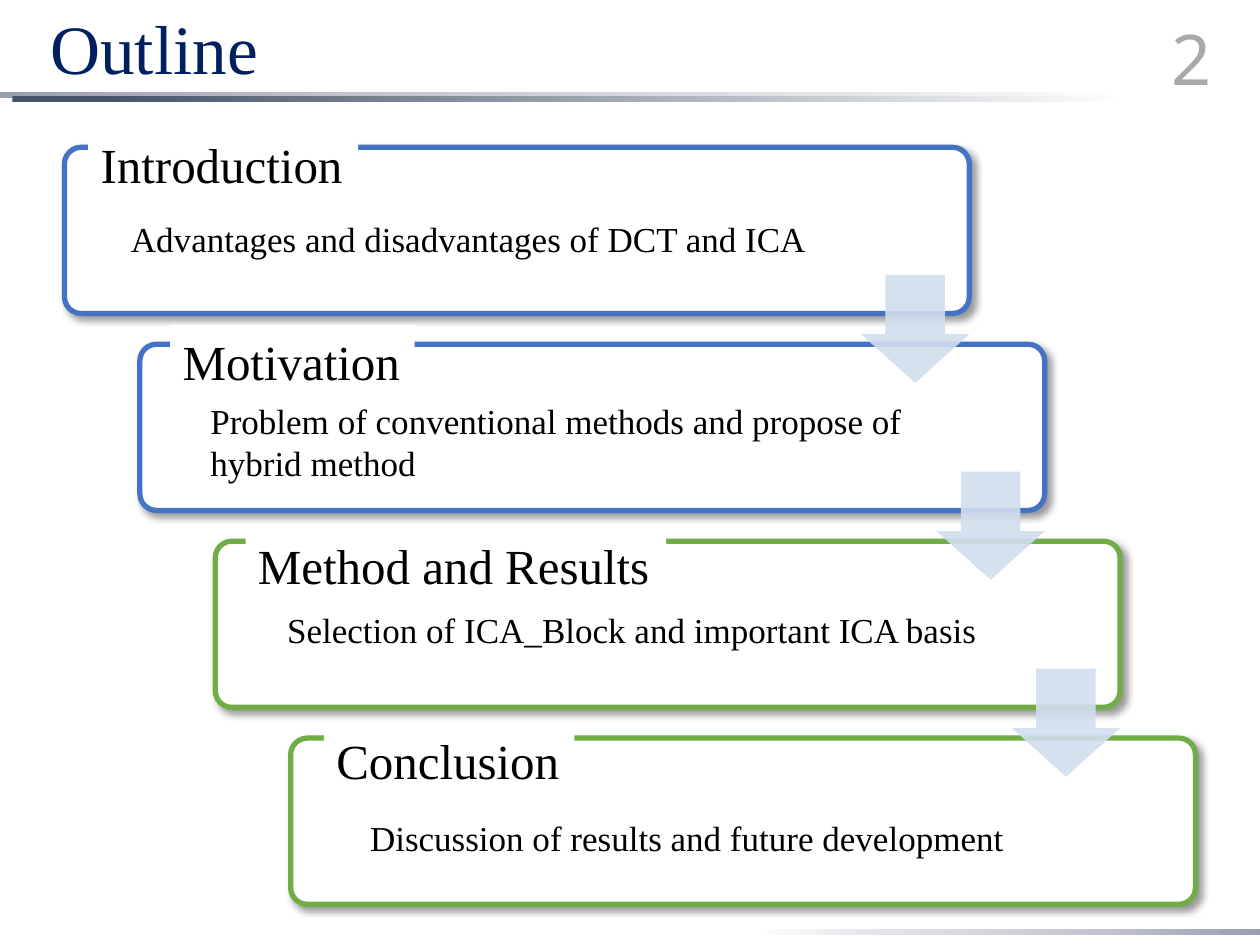
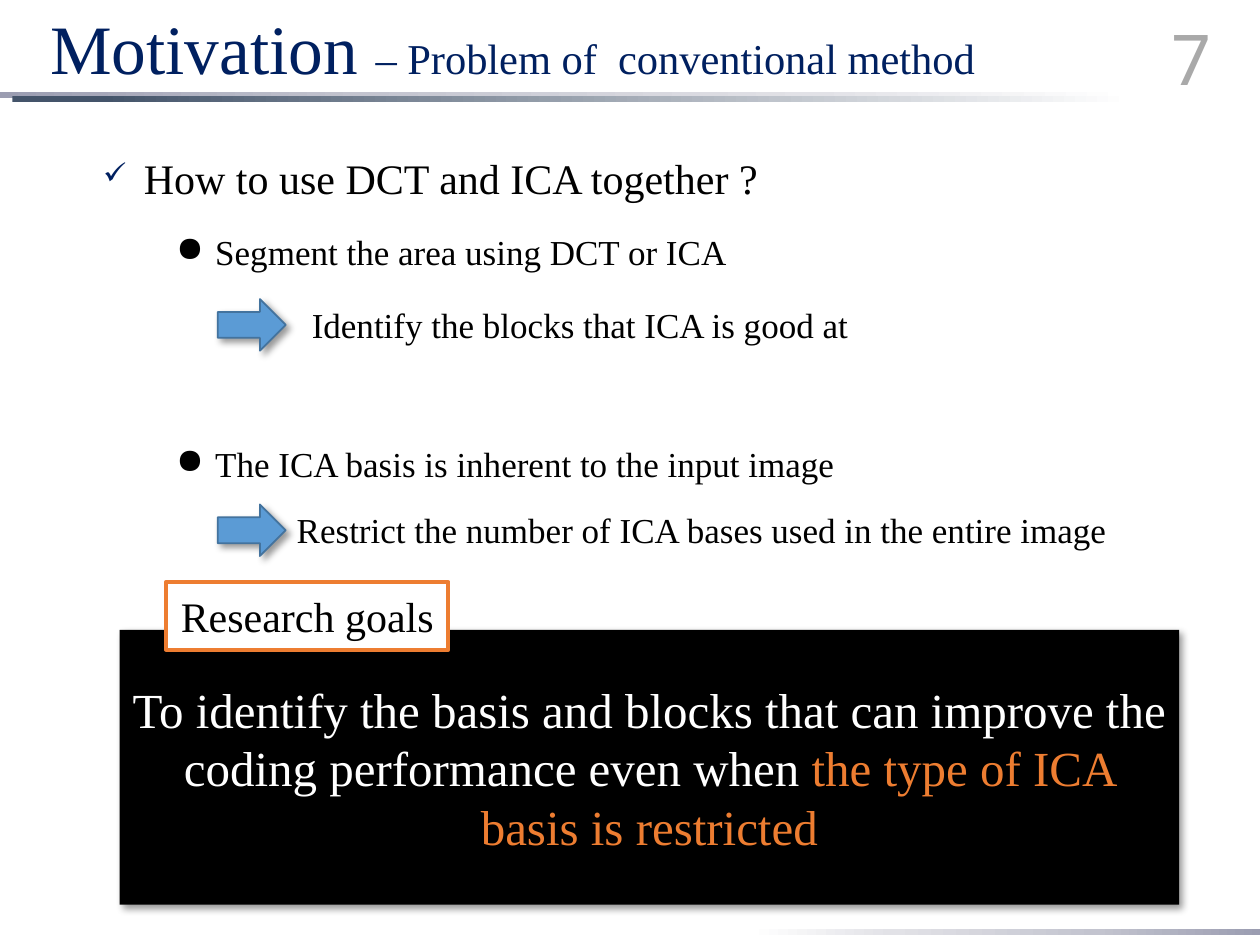
from lxml.etree import SubElement
from pptx import Presentation
from pptx.dml.color import RGBColor
from pptx.enum.shapes import MSO_SHAPE as Shape
from pptx.enum.text import MSO_ANCHOR as Anchor, MSO_AUTO_SIZE as AutoSize, PP_ALIGN as Align
from pptx.oxml.ns import qn
from pptx.util import Cm, Pt

NAVY = RGBColor(0x00, 0x20, 0x60)
SLATE = RGBColor(0x44, 0x54, 0x6A)
LAVENDER = RGBColor(0x9B, 0x9D, 0xB1)
LAVENDER_MID = RGBColor(0xC3, 0xC4, 0xCF)
LAVENDER_PALE = RGBColor(0xE2, 0xE2, 0xE7)
GREY = RGBColor(0xA9, 0xA9, 0xA9)
BLACK = RGBColor(0x00, 0x00, 0x00)
WHITE = RGBColor(0xFF, 0xFF, 0xFF)
BLUE = RGBColor(0x44, 0x72, 0xC4)
GREEN = RGBColor(0x70, 0xAD, 0x47)
PALE_BLUE = RGBColor(0xD2, 0xDE, 0xEF)
SKY = RGBColor(0x5B, 0x9B, 0xD5)
SKY_DARK = RGBColor(0x43, 0x73, 0x9E)
ORANGE = RGBColor(0xED, 0x7D, 0x31)

SERIF, SANS = "Times New Roman", "Noto Sans"

# Boxes are (left, top, width, height) in centimetres.
FADE = [(0, LAVENDER), (32, LAVENDER_MID), (72, LAVENDER_PALE), (100, WHITE)]
BANDS = [
    ((15.11, 18.72, 10.29, 0.13), [(100 - at, color) for at, color in reversed(FADE)]),
    ((0, 1.85, 22.76, 0.13), FADE),
    ((0.25, 1.93, 22.53, 0.13), [(8, SLATE), (100, WHITE)]),
]

# Border colour, heading and its box, detail and its box
OUTLINE = [
    (BLUE, "Introduction", (1.78, 2.59, 5.44, 1.45),
     "Advantages and disadvantages of DCT and ICA", (2.39, 4.27, 16.28, 1.12)),
    (BLUE, "Motivation", (3.43, 6.55, 4.93, 1.45),
     "Problem of conventional methods and propose of hybrid method", (3.99, 7.92, 15.54, 1.96)),
    (GREEN, "Method and Results", (4.95, 10.67, 8.48, 1.45),
     "Selection of ICA_Block and important ICA basis", (5.54, 12.14, 15.93, 1.12)),
    (GREEN, "Conclusion", (6.53, 14.61, 5.05, 1.45),
     "Discussion of results and future development", (7.21, 16.33, 17.12, 1.12)),
]
CARD_LEFT, CARD_TOP, CARD_WIDTH, CARD_HEIGHT = 1.3, 2.97, 18.24, 3.35
STEP_RIGHT, STEP_DOWN = 1.52, 3.97
STEP_ARROW_SIZE, STEP_ARROW_DROP = 2.18, 2.57

QUESTION = "How to use DCT and ICA together ?"
POINTS = ["Segment the area using DCT or ICA", "The ICA basis is inherent to the input image"]
ANSWERS = [
    ("Identify the blocks that ICA is good at", (5.08, 5.99, 13.23, 1.12)),
    ("Restrict the number of ICA bases used in the entire image", (5.08, 10.13, 18.14, 1.12)),
]
GOAL = [
    ("To identify the basis and blocks that can improve the coding performance even when ",
     28, WHITE),
    ("the type of ICA basis is restricted", 28, ORANGE),
]


def add_xml(parent, tag, **attributes):
    values = {name: str(value) for name, value in attributes.items()}
    return SubElement(parent, qn(tag), values)


def add_runs(paragraph, runs, font=SERIF):
    """Append (text, size, colour) runs to a paragraph."""
    for text, size, color in runs:
        run = paragraph.add_run()
        run.text = text
        run.font.name, run.font.size = font, Pt(size)
        run.font.color.rgb = color


def add_text(slide, box, runs, align=Align.LEFT, anchor=Anchor.TOP, font=SERIF):
    shape = slide.shapes.add_textbox(*map(Cm, box))
    frame = shape.text_frame
    frame.word_wrap, frame.vertical_anchor = True, anchor
    frame.paragraphs[0].alignment = align
    add_runs(frame.paragraphs[0], runs, font)
    return shape


def add_figure(slide, kind, box, fill, line=None, line_width=1, shadow=False):
    shape = slide.shapes.add_shape(kind, *map(Cm, box))
    shape.shadow.inherit = False
    shape.fill.solid()
    shape.fill.fore_color.rgb = fill
    if line is None:
        shape.line.fill.background()
    else:
        shape.line.color.rgb = line
        shape.line.width = Pt(line_width)
    if shadow:
        effects = shape.element.spPr.find(qn("a:effectLst"))
        outer = add_xml(effects, "a:outerShdw", blurRad=Pt(4), dist=Pt(3), dir=45 * 60000,
                        algn="tl", rotWithShape=0)
        add_xml(add_xml(outer, "a:srgbClr", val=BLACK), "a:alpha", val=40000)
    return shape


def add_band(slide, box, stops):
    band = add_figure(slide, Shape.RECTANGLE, box, WHITE)
    band.fill.gradient()
    band.fill.gradient_angle = 0
    stop_list = next(band.element.spPr.iter(qn("a:gsLst")))
    stop_list.clear()
    for position, color in stops:
        stop = add_xml(stop_list, "a:gs", pos=position * 1000)
        add_xml(stop, "a:srgbClr", val=color)


def set_opacity(shape, percent):
    for color in shape.element.spPr.iter(qn("a:srgbClr")):
        add_xml(color, "a:alpha", val=percent * 1000)


def set_bullet(paragraph, symbol, indent, color=BLACK, percent=100):
    properties = paragraph._p.get_or_add_pPr()
    properties.set("marL", str(Cm(indent)))
    properties.set("indent", str(-Cm(indent)))
    add_xml(add_xml(properties, "a:buClr"), "a:srgbClr", val=color)
    add_xml(properties, "a:buSzPct", val=percent * 1000)
    add_xml(properties, "a:buChar", char=symbol)


def add_base_slide(presentation, number, title_runs):
    """Add a slide with the shared bands, title and number."""
    slide = presentation.slides.add_slide(presentation.slide_layouts[5])
    for box, stops in BANDS:
        add_band(slide, box, stops)
    title = slide.shapes.title
    title.left, title.top, title.width, title.height = map(Cm, (0.76, 0.25, 22, 1.6))
    frame = title.text_frame
    frame.auto_size, frame.vertical_anchor = AutoSize.NONE, Anchor.MIDDLE
    paragraph = frame.paragraphs[0]
    paragraph.alignment, paragraph.line_spacing = Align.LEFT, 0.9
    add_runs(paragraph, [(text, size, NAVY) for text, size in title_runs])
    add_text(slide, (22.28, 0.25, 2.39, 1.8), [(str(number), 40, GREY)],
             Align.RIGHT, Anchor.MIDDLE, SANS)
    return slide


def build_outline(presentation):
    slide = add_base_slide(presentation, 2, [("Outline", 39.6)])
    corners = [(CARD_LEFT + i * STEP_RIGHT, CARD_TOP + i * STEP_DOWN)
               for i in range(len(OUTLINE))]
    for (left, top), (color, *_) in zip(corners, OUTLINE):
        card = add_figure(slide, Shape.ROUNDED_RECTANGLE, (left, top, CARD_WIDTH, CARD_HEIGHT),
                          WHITE, color, 3, shadow=True)
        card.adjustments[0] = 0.1
    for left, top in corners[:-1]:
        box = (left + CARD_WIDTH - STEP_ARROW_SIZE, top + STEP_ARROW_DROP,
               STEP_ARROW_SIZE, STEP_ARROW_SIZE)
        arrow = add_figure(slide, Shape.DOWN_ARROW, box, PALE_BLUE)
        arrow.adjustments[0], arrow.adjustments[1] = 0.55, 0.45
        set_opacity(arrow, 90)
    for _, heading, heading_box, detail, detail_box in OUTLINE:
        label = add_text(slide, heading_box, [(heading, 28, BLACK)])
        label.text_frame.word_wrap = False
        label.fill.solid()
        label.fill.fore_color.rgb = WHITE
        add_text(slide, detail_box, [(detail, 20, BLACK)])


def build_motivation(presentation):
    slide = add_base_slide(presentation, 7, [("Motivation ", 39.6),
                                             ("– Problem of  conventional method", 24.3)])
    question = add_text(slide, (1.83, 3.07, 18.57, 1.45), [(QUESTION, 24, BLACK)])
    paragraph = question.text_frame.paragraphs[0]
    paragraph.line_spacing, paragraph.space_before = 0.9, Pt(10)
    set_bullet(paragraph, "✓", 0.82, NAVY, 71)

    points = add_text(slide, (3.3, 4.52, 19.15, 5.38), [(POINTS[0], 20, BLACK)])
    second = points.text_frame.add_paragraph()
    second.space_before = Pt(97)
    add_runs(second, [(POINTS[1], 20, BLACK)])
    for paragraph in points.text_frame.paragraphs:
        set_bullet(paragraph, "●", 0.79)

    for answer, box in ANSWERS:
        add_text(slide, box, [(answer, 20, BLACK)], Align.CENTER)
        add_figure(slide, Shape.RIGHT_ARROW, (4.39, box[1] + 0.04, 1.37, 1.04),
                   SKY, SKY_DARK, shadow=True)

    goal = add_figure(slide, Shape.RECTANGLE, (2.41, 12.7, 21.36, 5.54), BLACK, shadow=True)
    label = add_figure(slide, Shape.RECTANGLE, (3.35, 11.73, 5.69, 1.37), WHITE, ORANGE, 2.25)
    for shape, runs in ((goal, GOAL), (label, [("Research goals", 24, BLACK)])):
        shape.text_frame.vertical_anchor = Anchor.MIDDLE
        paragraph = shape.text_frame.paragraphs[0]
        paragraph.alignment = Align.CENTER
        add_runs(paragraph, runs)


def main():
    presentation = Presentation()
    presentation.slide_width, presentation.slide_height = Cm(25.4), Cm(19.05)
    build_outline(presentation)
    build_motivation(presentation)
    presentation.save("out.pptx")


if __name__ == "__main__":
    main()
